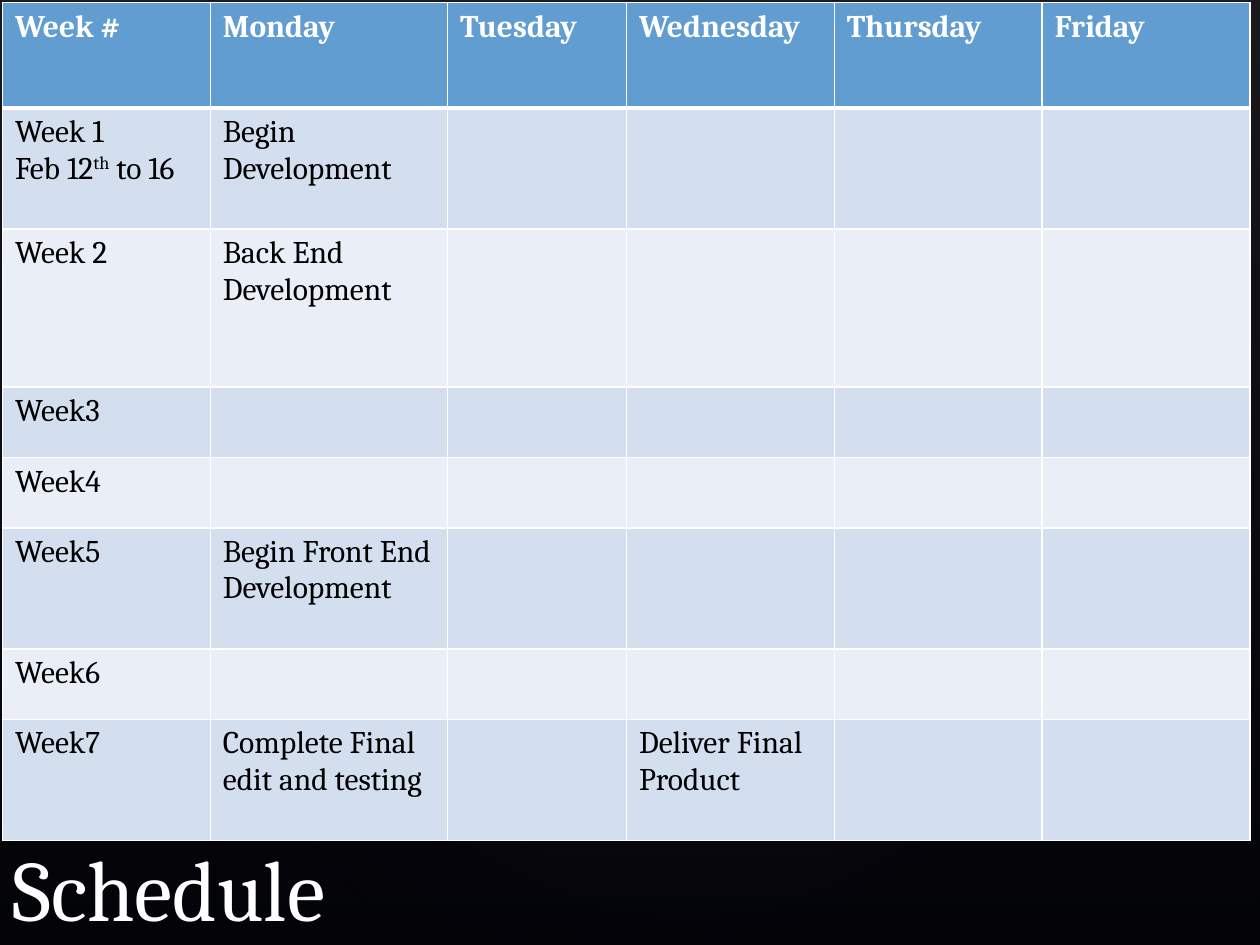
import pptx
import pptx.dml.color
import pptx.enum.shapes
import pptx.enum.text
import pptx.oxml
import pptx.oxml.ns
import pptx.util

Cm = pptx.util.Cm
NAMESPACE = pptx.oxml.ns.nsdecls("a")


def color(hex_string):
    return pptx.dml.color.RGBColor.from_string(hex_string)


def add_glow(slide, kind, box, rotation, stops, direction):
    """Add a shape with a see-through gradient; stops are (position %, colour, opacity %)."""
    shape = slide.shapes.add_shape(kind, *[Cm(length) for length in box])
    shape.rotation = rotation
    shape.shadow.inherit = False
    shape.line.fill.background()
    shape.fill.background()
    stop_xml = "".join(
        f'<a:gs pos="{position * 1000}"><a:srgbClr val="{hex_string}">'
        f'<a:alpha val="{opacity * 1000}"/></a:srgbClr></a:gs>'
        for position, hex_string, opacity in stops)
    gradient = pptx.oxml.parse_xml(
        f'<a:gradFill {NAMESPACE} rotWithShape="1"><a:gsLst>{stop_xml}</a:gsLst>{direction}</a:gradFill>')
    properties = shape._element.spPr
    properties.replace(properties.find(pptx.oxml.ns.qn("a:noFill")), gradient)


presentation = pptx.Presentation()
presentation.slide_width = Cm(25.4)
presentation.slide_height = Cm(19.05)
slide = presentation.slides.add_slide(presentation.slide_layouts[6])
slide.background.fill.solid()
slide.background.fill.fore_color.rgb = color("000000")

# Dark backdrop with three soft glows
shape_kinds = pptx.enum.shapes.MSO_SHAPE
add_glow(slide, shape_kinds.RECTANGLE, (0, 0, 25.4, 19.05), 0,
         [(0, "504652", 36), (100, "242852", 10)], '<a:lin ang="5400000" scaled="0"/>')
center = '<a:path path="circle"><a:fillToRect l="50000" t="50000" r="50000" b="50000"/></a:path>'
for box, rotation, opacity in [
    ((3.81, 2.9, 20.12, 15.85), 328.7, 7),
    ((-0.76, 3.25, 15.39, 12.45), 294.3, 8),
    ((9.09, 0.33, 18.01, 13.21), 328.7, 8),
]:
    add_glow(slide, shape_kinds.OVAL, box, rotation,
             [(0, "C4BCC6", opacity), (58, "242852", 0)], center)

# Schedule table: a line break starts a new paragraph, ^ surrounds a superscript
days = ["Week #", "Monday", "Tuesday", "Wednesday", "Thursday", "Friday"]
weeks = [
    ["Week 1\nFeb 12^th^ to 16", "Begin Development"],
    ["Week 2", "Back End Development"],
    ["Week3"],
    ["Week4"],
    ["Week5", "Begin Front End\nDevelopment"],
    ["Week6"],
    ["Week7", "Complete Final edit and testing", "", "Deliver Final Product"],
]
column_widths = [4.19, 4.78, 3.61, 4.19, 4.19, 4.19]
row_heights = [2.13, 2.44, 3.18, 1.42, 1.42, 2.44, 1.42, 2.44]
header_format = {"size": pptx.util.Pt(18), "name": "Cambria", "bold": True}
body_format = {**header_format, "bold": False}

table = slide.shapes.add_table(
    len(row_heights), len(days), Cm(0.05), Cm(0.05),
    Cm(sum(column_widths)), Cm(sum(row_heights))).table
for column, width in zip(table.columns, column_widths):
    column.width = Cm(width)
for row, height in zip(table.rows, row_heights):
    row.height = Cm(height)

for row_index, texts in enumerate([days] + weeks):
    is_header = row_index == 0
    fill_color = "629DD1" if is_header else ("EAEFF7", "D3DFEE")[row_index % 2]
    font_color = "FFFFFF" if is_header else "000000"
    border_widths = {"L": 1, "R": 1, "T": 3 if row_index == 1 else 1, "B": 3 if is_header else 1}
    for column_index in range(len(days)):
        cell = table.cell(row_index, column_index)
        cell_properties = cell._tc.get_or_add_tcPr()
        for side, width in border_widths.items():
            cell_properties.append(pptx.oxml.parse_xml(
                f'<a:ln{side} {NAMESPACE} w="{width * 12700}"><a:solidFill>'
                f'<a:srgbClr val="FFFFFF"/></a:solidFill></a:ln{side}>'))
        cell.fill.solid()
        cell.fill.fore_color.rgb = color(fill_color)
        if column_index >= len(texts) or not texts[column_index]:
            continue
        for line_index, line in enumerate(texts[column_index].split("\n")):
            frame = cell.text_frame
            paragraph = frame.add_paragraph() if line_index else frame.paragraphs[0]
            for part_index, part in enumerate(line.split("^")):
                run = paragraph.add_run()
                run.text = part
                for attribute, value in (header_format if is_header else body_format).items():
                    setattr(run.font, attribute, value)
                run.font.color.rgb = color(font_color)
                if part_index % 2:
                    run._r.get_or_add_rPr().set("baseline", "30000")

# Title
title = slide.shapes.add_textbox(Cm(0), Cm(16.51), Cm(20.96), Cm(2.54))
title.text_frame.word_wrap = True
title.text_frame.vertical_anchor = pptx.enum.text.MSO_ANCHOR.BOTTOM
run = title.text_frame.paragraphs[0].add_run()
run.text = "Schedule"
for attribute, value in {"size": pptx.util.Pt(49), "name": "Cambria"}.items():
    setattr(run.font, attribute, value)
run.font.color.rgb = color("FFFFFF")

presentation.save("out.pptx")
